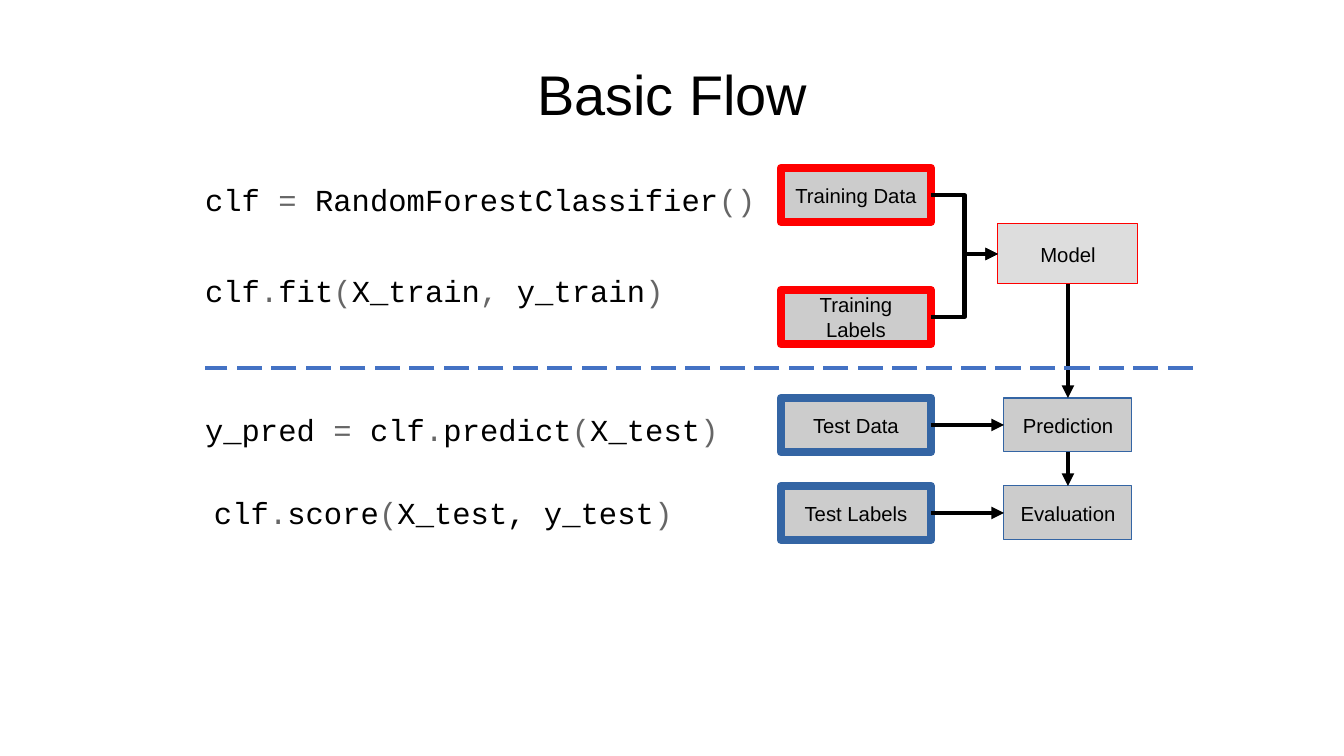
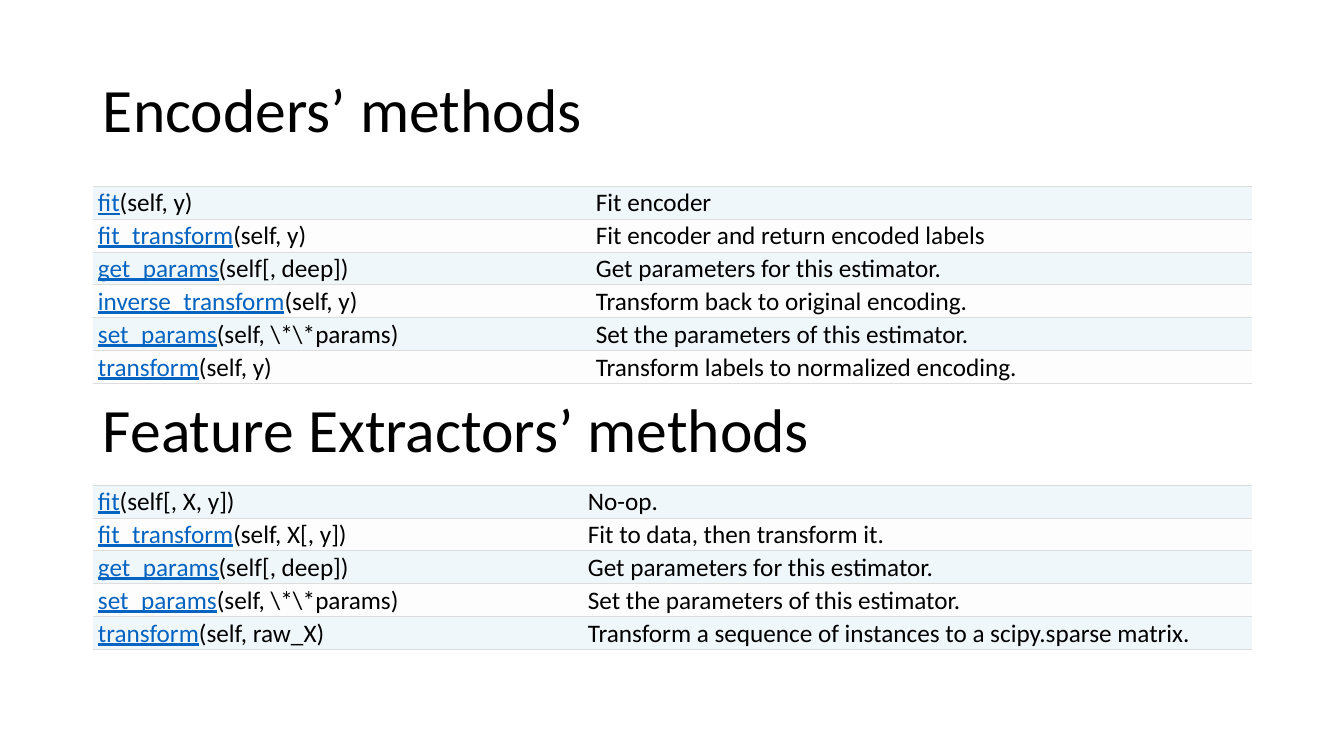
from lxml import etree
from pptx import Presentation
from pptx.dml.color import RGBColor
from pptx.enum import dml, shapes, text
from pptx.oxml import ns
from pptx.util import Pt

SCALE = 914400 / 100.8  # EMU per pixel
COLORS = {
    "ink": "000000", "symbol": "666666", "link": "0563C1",
    "train": "FF0000", "test": "3465A4", "divider": "4472C4",
    "node": "CCCCCC", "model": "DDDDDD",
    "rule": "DDDDDD", "odd": "F0F7FA", "even": "FDFDFD",
}
TOP, LEFT, BOTTOM, RIGHT = range(4)  # connection sites of a rectangle


def px(*lengths):
    return [round(length * SCALE) for length in lengths]


def color(name):
    return RGBColor.from_string(COLORS[name])


def add_span(para, words, font, size, ink="ink", underline=None):
    span = para.add_run()
    span.text = words
    span.font.name, span.font.size = font, Pt(size)
    span.font.color.rgb = color(ink)
    span.font.underline = underline


def set_frame(frame, insets=None, anchor=text.MSO_ANCHOR.MIDDLE):
    frame.word_wrap = True
    frame.auto_size = text.MSO_AUTO_SIZE.NONE
    frame.vertical_anchor = anchor
    if insets:
        across, down = px(*insets)
        frame.margin_left = frame.margin_right = across
        frame.margin_top = frame.margin_bottom = down


# Headings
def format_heading(shape, words, font, size, align, spacing, insets):
    set_frame(shape.text_frame, insets)
    para = shape.text_frame.paragraphs[0]
    para.alignment, para.line_spacing = align, spacing
    add_span(para, words, font, size)


def add_title(page, box, *style):
    title = page.shapes.title
    title.left, title.top, title.width, title.height = px(*box)
    format_heading(title, *style)


# Code: tokens alternate between names and symbols
def add_code(page, left, top, tokens):
    box = page.shapes.add_textbox(*px(left, top, 570, 54))
    set_frame(box.text_frame, (0, 0), text.MSO_ANCHOR.TOP)
    for index, token in enumerate(tokens):
        add_span(box.text_frame.paragraphs[0], token, "Courier New", 21.8,
                 "symbol" if index % 2 else "ink")


# Flow chart
def add_node(page, box, words, line, width, insets, fill="node"):
    node = page.shapes.add_shape(shapes.MSO_SHAPE.RECTANGLE, *px(*box))
    node.shadow.inherit = False
    node.fill.solid()
    node.fill.fore_color.rgb = color(fill)
    node.line.color.rgb = color(line)
    node.line.width = Pt(width)
    set_frame(node.text_frame, insets)
    para = node.text_frame.paragraphs[0]
    para.alignment = text.PP_ALIGN.CENTER
    add_span(para, words, "Arial", 14.5)
    return node


def add_line(page, kind, ends, ink, width):
    line = page.shapes.add_connector(kind, *px(*ends))
    line.line.color.rgb = color(ink)
    line.line.width = Pt(width)
    etree.SubElement(line._element.spPr, ns.qn("a:effectLst"))
    return line


def add_arrow(page, start, start_site, end, end_site,
              kind=shapes.MSO_CONNECTOR.STRAIGHT):
    arrow = add_line(page, kind, (0, 0, 0, 0), "ink", 3)
    arrow.begin_connect(start, start_site)
    arrow.end_connect(end, end_site)
    etree.SubElement(arrow.line._get_or_add_ln(), ns.qn("a:tailEnd"),
                     type="triangle")


def add_flow(page, left, top):
    def source(down, words, line):
        return add_node(page, (left, top + down, 150, 54), words, line, 6,
                        (13, 8))

    def result(down, words):
        return add_node(page, (left + 223, top + down, 128, 54), words,
                        "test", 0.75, (9, 4))

    train_data = source(0, "Training Data", "train")
    train_labels = source(122, "Training Labels", "train")
    test_data = source(230, "Test Data", "test")
    test_labels = source(318, "Test Labels", "test")
    model = add_node(page, (left + 217, top + 56, 140, 60), "Model",
                     "train", 0.75, (9, 4), "model")
    prediction = result(230, "Prediction")
    evaluation = result(318, "Evaluation")

    for data in (train_data, train_labels):
        add_arrow(page, data, RIGHT, model, LEFT, shapes.MSO_CONNECTOR.ELBOW)
    add_arrow(page, test_data, RIGHT, prediction, LEFT)
    add_arrow(page, test_labels, RIGHT, evaluation, LEFT)
    add_arrow(page, model, BOTTOM, prediction, TOP)
    add_arrow(page, prediction, BOTTOM, evaluation, TOP)


# Method tables
def rule_cell(cell):
    props = cell._tc.get_or_add_tcPr()
    for index, side in enumerate(("lnL", "lnR", "lnT", "lnB")):
        line = etree.Element(ns.qn("a:" + side), w=str(Pt(0.75)))
        props.insert(index, line)
        if side in ("lnL", "lnR"):
            etree.SubElement(line, ns.qn("a:noFill"))
        else:
            fill = etree.SubElement(line, ns.qn("a:solidFill"))
            etree.SubElement(fill, ns.qn("a:srgbClr"), val=COLORS["rule"])


def add_methods(page, left, top, widths, methods):
    box = px(left, top, sum(widths), 33 * len(methods))
    table = page.shapes.add_table(len(methods), 2, *box).table
    table.first_row = table.horz_banding = False
    for column, width in zip(table.columns, px(*widths)):
        column.width = width
    for index, (name, arguments, meaning) in enumerate(methods):
        table.rows[index].height = px(33)[0]
        cells = table.rows[index].cells
        for cell in cells:
            cell.fill.solid()
            cell.fill.fore_color.rgb = color("even" if index % 2 else "odd")
            cell.vertical_anchor = text.MSO_ANCHOR.MIDDLE
            (cell.margin_left, cell.margin_top,
             cell.margin_right, cell.margin_bottom) = px(5, 1, 8, 1)
            rule_cell(cell)
        call = cells[0].text_frame.paragraphs[0]
        add_span(call, name, "Calibri", 18, "link", True)
        add_span(call, arguments, "Calibri", 18)
        add_span(cells[1].text_frame.paragraphs[0], meaning, "Calibri", 18)


# Slides
def build_flow_slide(page):
    add_title(page, (219, 30, 907, 126), "Basic Flow", "Arial", 39.9,
              text.PP_ALIGN.CENTER, 1.0, (0, 0))
    for left, top, tokens in (
        (205, 181, ("clf ", "= ", "RandomForestClassifier", "()")),
        (205, 272, ("clf", ".", "fit", "(", "X_train", ", ", "y_train", ")")),
        (205, 411, ("y_pred ", "=", " clf", ".", "predict", "(", "X_test",
                    ")")),
        (214, 494, ("clf", ".", "score", "(", "X_test, y_test", ")")),
    ):
        add_code(page, left, top, tokens)
    add_flow(page, 781, 168)
    divider = add_line(page, shapes.MSO_CONNECTOR.STRAIGHT,
                       (1193, 368, 205, 368), "divider", 2.25)
    divider.line.dash_style = dml.MSO_LINE.LONG_DASH


def build_methods_slide(page):
    style = ("Calibri", 44, text.PP_ALIGN.LEFT, 0.9, (10, 5))
    add_title(page, (93, 40, 1159, 146), "Encoders’ methods", *style)
    get_params = ("get_params", "(self[,\u00a0deep])",
                  "Get parameters for this estimator.")
    set_params = ("set_params", "(self,\u00a0\\*\\*params)",
                  "Set the parameters of this estimator.")
    add_methods(page, 93, 186, (498, 661), (
        ("fit", "(self,\u00a0y)", "Fit encoder"),
        ("fit_transform", "(self,\u00a0y)",
         "Fit encoder and return encoded labels"),
        get_params,
        ("inverse_transform", "(self,\u00a0y)",
         "Transform back to original encoding."),
        set_params,
        ("transform", "(self,\u00a0y)",
         "Transform labels to normalized encoding."),
    ))
    add_methods(page, 93, 485, (490, 669), (
        ("fit", "(self[,\u00a0X,\u00a0y])", "No-op."),
        ("fit_transform", "(self,\u00a0X[,\u00a0y])",
         "Fit to data, then transform it."),
        get_params,
        set_params,
        ("transform", "(self,\u00a0raw_X)",
         "Transform a sequence of instances to a scipy.sparse matrix."),
    ))
    heading = page.shapes.add_textbox(*px(93, 360, 1159, 146))
    format_heading(heading, "Feature Extractors’ methods", *style)


deck = Presentation()
deck.slide_width, deck.slide_height = px(1344, 756)
for build in (build_flow_slide, build_methods_slide):
    build(deck.slides.add_slide(deck.slide_layouts[5]))
deck.save("out.pptx")
